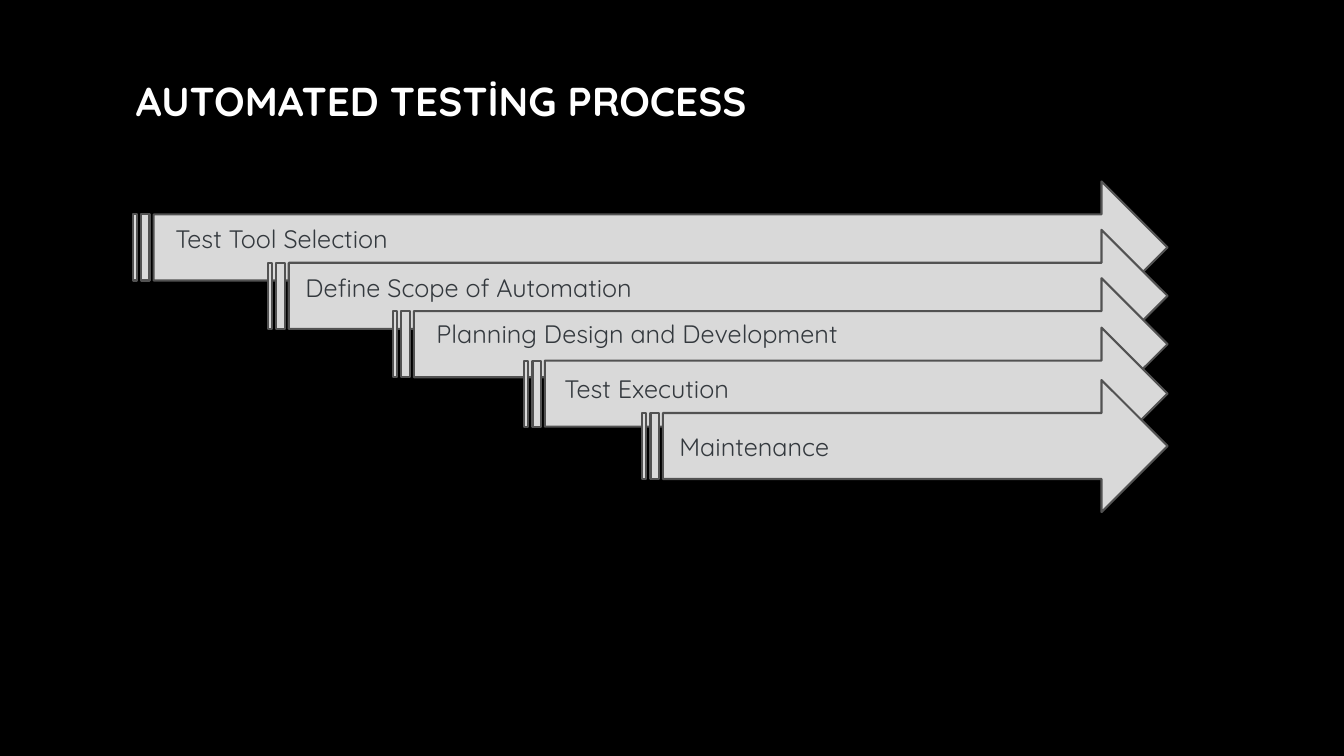
from pptx import Presentation
from pptx.dml.color import RGBColor
from pptx.enum.shapes import MSO_SHAPE
from pptx.enum.text import MSO_ANCHOR
from pptx.util import Inches, Pt

STRIPED_ARROW = MSO_SHAPE.STRIPED_RIGHT_ARROW
MIDDLE = MSO_ANCHOR.MIDDLE
TOP = MSO_ANCHOR.TOP

BLACK = RGBColor(0x00, 0x00, 0x00)
WHITE = RGBColor(0xFF, 0xFF, 0xFF)
ARROW_FILL = RGBColor(0xD9, 0xD9, 0xD9)
ARROW_LINE = RGBColor(0x52, 0x52, 0x52)
LABEL_COLOR = RGBColor(0x34, 0x39, 0x3E)
FONT = "Quicksand"

SLIDE_WIDTH, SLIDE_HEIGHT = 13.33, 7.5
ARROW_TIP = 11.58
ARROW_HEIGHT = 1.31
LABEL_HEIGHT = 0.4

# Step name, arrow left and top, label left and top
STEPS = [
    ("Test Tool Selection", 1.32, 1.8, 1.64, 2.17),
    ("Define Scope of Automation", 2.66, 2.28, 2.93, 2.65),
    ("Planning Design and Development", 3.9, 2.76, 4.23, 3.11),
    ("Test Execution", 5.2, 3.25, 5.5, 3.65),
    ("Maintenance", 6.37, 3.77, 6.64, 4.23),
]

presentation = Presentation()
presentation.slide_width = Inches(SLIDE_WIDTH)
presentation.slide_height = Inches(SLIDE_HEIGHT)
slide = presentation.slides.add_slide(presentation.slide_layouts[6])
slide.background.fill.solid()
slide.background.fill.fore_color.rgb = BLACK


def add_text(text, left, top, width, height, size, color, bold=False, anchor=TOP):
    box = slide.shapes.add_textbox(
        Inches(left), Inches(top), Inches(width), Inches(height))
    text_frame = box.text_frame
    text_frame.word_wrap = True
    text_frame.vertical_anchor = anchor
    text_frame.text = text
    font = text_frame.paragraphs[0].runs[0].font
    font.name = FONT
    font.size = Pt(size)
    font.bold = bold
    font.color.rgb = color


add_text("AUTOMATED TESTİNG PROCESS", 1.25, 0.67, 7.44, 0.66, 28.8, WHITE,
         bold=True, anchor=MIDDLE)

for name, arrow_left, arrow_top, label_left, label_top in STEPS:
    arrow = slide.shapes.add_shape(
        STRIPED_ARROW, Inches(arrow_left), Inches(arrow_top),
        Inches(ARROW_TIP - arrow_left), Inches(ARROW_HEIGHT))
    arrow.shadow.inherit = False
    arrow.fill.solid()
    arrow.fill.fore_color.rgb = ARROW_FILL
    arrow.line.color.rgb = ARROW_LINE
    arrow.line.width = Pt(1.5)

# Labels come after all arrows so that no arrow covers them
for name, arrow_left, arrow_top, label_left, label_top in STEPS:
    add_text(name, label_left, label_top, ARROW_TIP - 1 - label_left,
             LABEL_HEIGHT, 18, LABEL_COLOR)

presentation.save("out.pptx")
